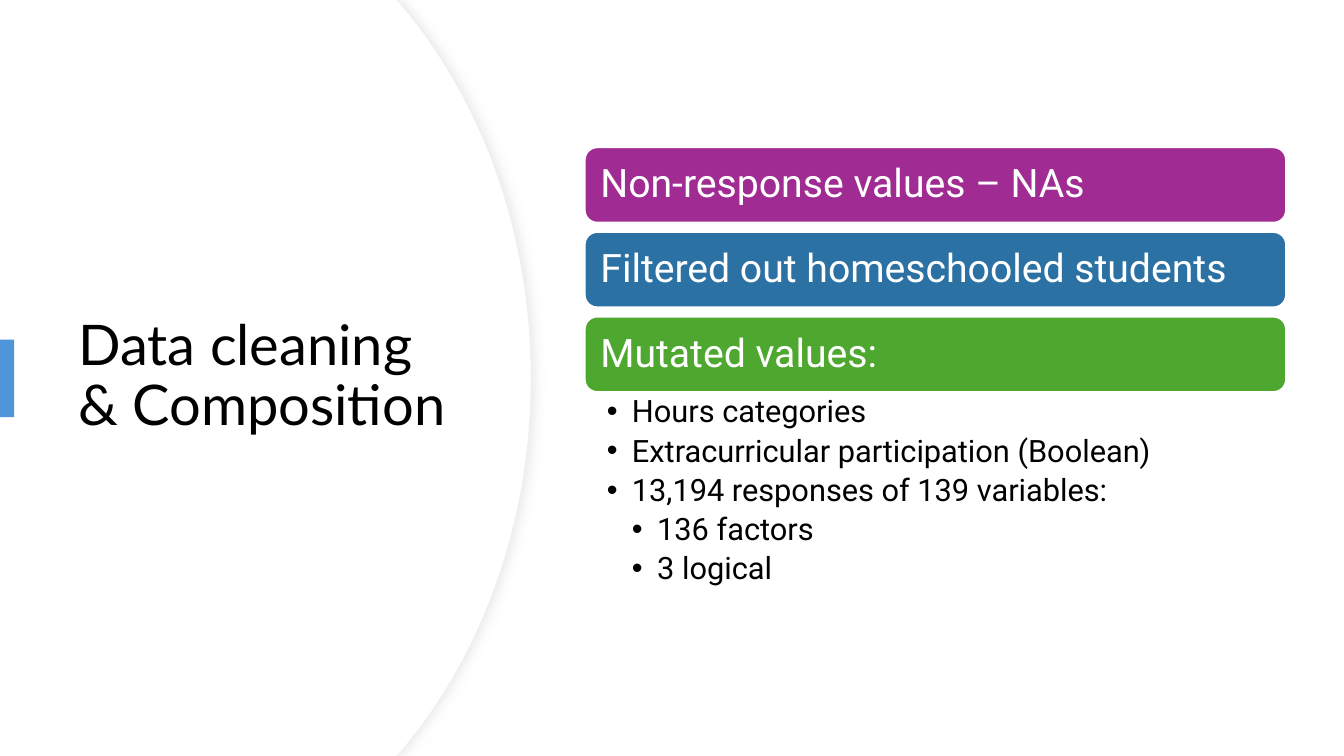
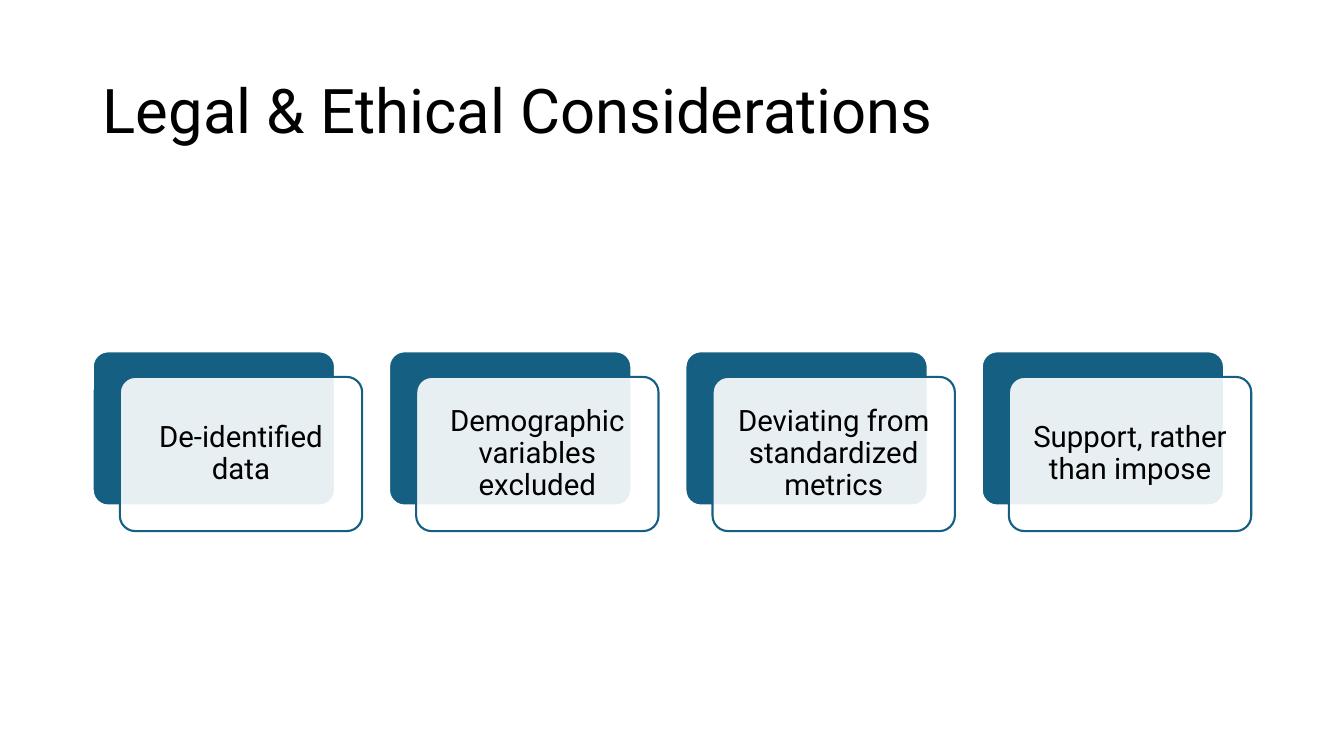
from dataclasses import dataclass

from lxml import etree
from pptx import Presentation
from pptx.dml.color import RGBColor
from pptx.enum.shapes import MSO_SHAPE
from pptx.enum.text import MSO_ANCHOR, MSO_AUTO_SIZE, PP_ALIGN
from pptx.oxml.ns import qn
from pptx.util import Emu, Inches, Pt

RECT, ROUND = MSO_SHAPE.RECTANGLE, MSO_SHAPE.ROUNDED_RECTANGLE
TOP, MIDDLE = MSO_ANCHOR.TOP, MSO_ANCHOR.MIDDLE
LEFT, CENTER = PP_ALIGN.LEFT, PP_ALIGN.CENTER
FIXED = MSO_AUTO_SIZE.NONE


@dataclass(frozen=True)
class Theme:
    ink: str = "000000"
    paper: str = "FFFFFF"
    edge: str = "EFEFEF"
    shade: str = "D9D9D9"
    tick: str = "4E95D9"
    card: str = "156082"
    pills: tuple = ("A02B93", "2C71A4", "4EA72E")
    head: str = "Lato"
    body: str = "Roboto"
    pill_size: int = 28
    list_size: int = 22
    card_size: int = 21
    rule: float = 1.5
    leading: float = 0.9


T = Theme()
W, H = Inches(13.333), Inches(7.5)
COL, ROW = W / 100, H / 100  # a grid of 100 columns by 100 rows


def form(shape, box=None, fill=None, line=None, width=T.rule):
    """Place a shape by columns and rows, then set its fill and outline."""
    if box:
        x, y, w, h = box
        shape.left, shape.width = Emu(round(x * COL)), Emu(round(w * COL))
        shape.top, shape.height = Emu(round(y * ROW)), Emu(round(h * ROW))
    if fill:
        shape.shadow.inherit = False
        shape.fill.solid()
        shape.fill.fore_color.rgb = RGBColor.from_string(fill)
        if line:
            shape.line.color.rgb = RGBColor.from_string(line)
            shape.line.width = Pt(width)
        else:
            shape.line.fill.background()
    return shape


def write(shape, rows, size, font=T.body, color=T.ink, align=LEFT,
          anchor=MIDDLE, pad=(0.1, 0.05)):
    """Fill a shape with one paragraph per row and return the paragraphs."""
    frame = shape.text_frame
    frame.word_wrap, frame.auto_size = True, FIXED
    frame.vertical_anchor = anchor
    frame.margin_left = frame.margin_right = Inches(pad[0])
    frame.margin_top = frame.margin_bottom = Inches(pad[1])
    for i, text in enumerate(rows):
        para = frame.add_paragraph() if i else frame.paragraphs[0]
        para.alignment, para.line_spacing = align, T.leading
        run = para.add_run()
        run.text = text
        run.font.name, run.font.size = font, Pt(size)
        run.font.color.rgb = RGBColor.from_string(color)
    return frame.paragraphs


deck = Presentation()
deck.slide_width, deck.slide_height = W, H

heads = [
    ("Data cleaning & Composition", T.head, 40, (5.1, 16.93, 29.55, 66)),
    ("Legal & Ethical Considerations", T.body, 44, (6.9, 5.33, 86.25, 19.33)),
]
pages = []
for text, font, size, box in heads:
    page = deck.slides.add_slide(deck.slide_layouts[5])
    write(form(page.shapes.title, box), [text], size, font)
    pages.append(page.shapes)

# Data cleaning: curved panel, bent by two control points per half
clean, legal = pages
outline = [(29.55, 0), (30.08, 1.07), (39.53, 50), (30.08, 98.93),
           (29.55, 100), (0, 100)]
bends = {2: [(35.93, 13.6), (39.53, 30.93)],
         3: [(39.53, 69.07), (35.93, 86.4)]}

panels = []
for shift, line in ((0, T.edge), (0.08, None)):
    pen = clean.build_freeform(0, 0)
    pen.add_line_segments([(max(x - shift, 0) * COL, y * ROW) for x, y in outline])
    panel = form(pen.convert_to_shape(), None, T.paper, line, 0.75)
    sides = list(panel._element.iter(qn("a:lnTo")))
    for i, pulls in bends.items():
        sides[i].tag = qn("a:cubicBezTo")
        for k, (x, y) in enumerate(pulls):
            knot = etree.Element(qn("a:pt"), x=str(round((x - shift) * COL)),
                                 y=str(round(y * ROW)))
            sides[i].insert(k, knot)
    panels.append(panel)

glow = etree.SubElement(
    panels[0]._element.spPr.find(qn("a:effectLst")), qn("a:outerShdw"),
    blurRad=str(Pt(7)), dist=str(Pt(3)), dir="0", algn="l", rotWithShape="0")
tint = etree.SubElement(glow, qn("a:srgbClr"), val=T.shade)
etree.SubElement(tint, qn("a:alpha"), val="50000")

clean._spTree.append(clean.title._element)  # title above the panel
form(clean.add_shape(RECT, 0, 0, 0, 0), (0, 44.93, 1.05, 10.27), T.tick)

# Data cleaning: pills and list
PILL_X, PILL_Y, PILL_W, PILL_H, PILL_GAP = 43.5, 19.47, 52.2, 10, 1.2
steps = ["Non-response values – NAs", "Filtered out homeschooled students",
         "Mutated values:"]
y = PILL_Y
for text, fill in zip(steps, T.pills):
    pill = form(clean.add_shape(ROUND, 0, 0, 0, 0),
                (PILL_X, y, PILL_W, PILL_H), fill, T.paper)
    write(pill, [text], T.pill_size, color=T.paper, pad=(0.12, 0.12))
    y += PILL_H + PILL_GAP

items = [
    (1, "Hours categories"),
    (1, "Extracurricular participation (Boolean)"),
    (1, "13,194 responses of 139 variables:"),
    (2, "136 factors"),
    (2, "3 logical"),
]
notes = form(clean.add_textbox(0, 0, 0, 0), (PILL_X, y - PILL_GAP, PILL_W, 28.8))
paras = write(notes, [text for _, text in items], T.list_size,
              anchor=TOP, pad=(0.22, 0.04))
for para, (level, _) in zip(paras, items):
    para.level, para.space_after = level, Pt(4.3)
    props = para._p.get_or_add_pPr()
    props.set("marL", str(Inches(0.25 * level)))
    props.set("indent", str(Inches(-0.25)))
    etree.SubElement(props, qn("a:buFont"), typeface="Arial")
    etree.SubElement(props, qn("a:buChar"), char="•")

# Legal and ethical: four layered cards
CARD_X, CARD_Y, CARD_W, CARD_H, PITCH = 6.9, 46.48, 18.03, 20.4, 22.05
cards = ["De-identified data", "Demographic variables excluded",
         "Deviating from standardized metrics", "Support, rather than impose"]
for i, text in enumerate(cards):
    x = CARD_X + i * PITCH
    for dx, dy, fill, line in ((0, 0, T.card, T.paper),
                               (2.02, 3.38, T.paper, T.card)):
        card = form(legal.add_shape(ROUND, 0, 0, 0, 0),
                    (x + dx, CARD_Y + dy, CARD_W, CARD_H), fill, line)
        card.adjustments[0] = 0.1
    tint = card._element.spPr.find(qn("a:solidFill"))[0]
    etree.SubElement(tint, qn("a:alpha"), val="90000")
    write(card, [text], T.card_size, align=CENTER, pad=(0.09, 0.09))

deck.save("out.pptx")
